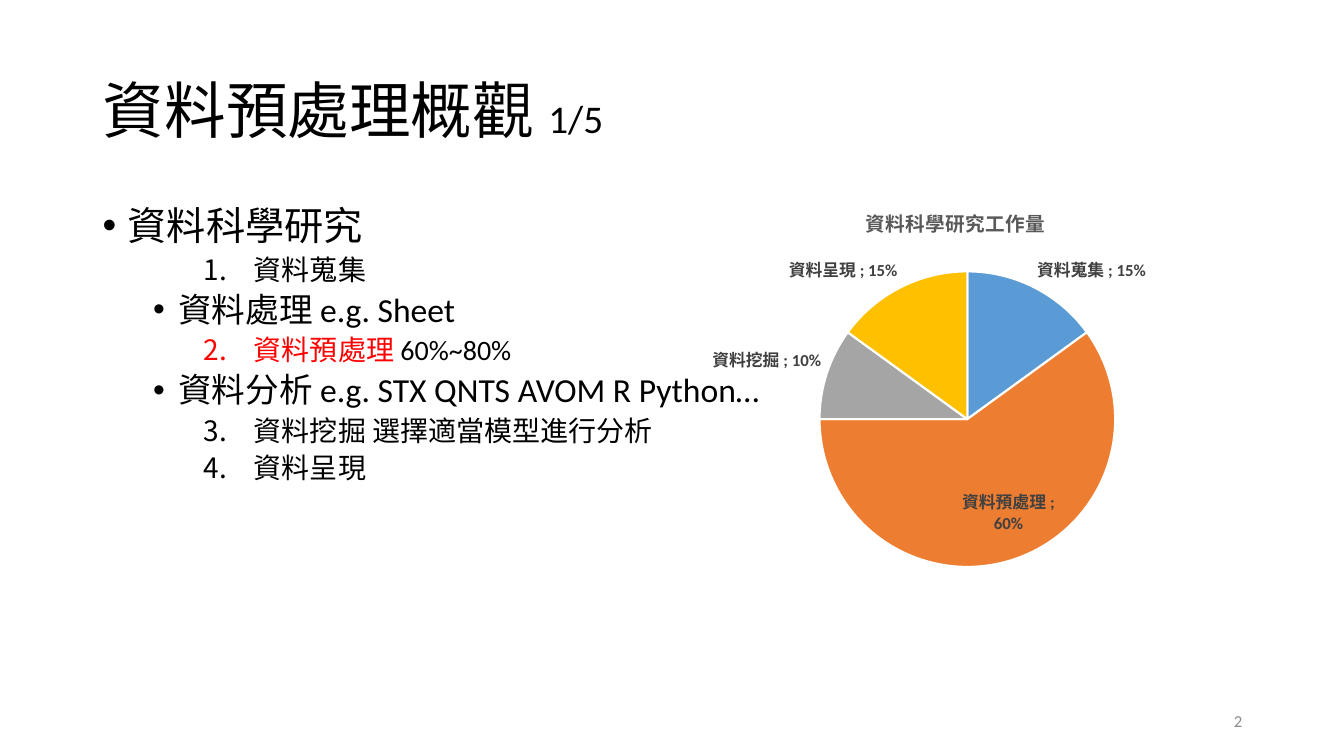
from lxml.etree import SubElement
from pptx import Presentation
from pptx.chart.data import CategoryChartData
from pptx.dml.color import RGBColor
from pptx.enum.chart import XL_CHART_TYPE, XL_LABEL_POSITION
from pptx.enum.text import MSO_ANCHOR, PP_ALIGN
from pptx.oxml import parse_xml
from pptx.oxml.ns import nsdecls, qn
from pptx.util import Inches, Pt

FONT = "Calibri"
BLACK = RGBColor(0x00, 0x00, 0x00)
WHITE = RGBColor(0xFF, 0xFF, 0xFF)
RED = RGBColor(0xFF, 0x00, 0x00)
PAGE_GRAY = RGBColor(0x8C, 0x8C, 0x8C)
TITLE_GRAY = RGBColor(0x59, 0x59, 0x59)
LABEL_GRAY = RGBColor(0x40, 0x40, 0x40)
BLUE = RGBColor(0x5B, 0x9B, 0xD5)
ORANGE = RGBColor(0xED, 0x7D, 0x31)
GRAY = RGBColor(0xA5, 0xA5, 0xA5)
GOLD = RGBColor(0xFF, 0xC0, 0x00)

MARGIN = Inches(0.92)
CONTENT_WIDTH = Inches(11.5)


def add_run(paragraph, text, size, color=BLACK, bold=False):
    run = paragraph.add_run()
    run.text = text
    run.font.name = FONT
    run.font.size = Pt(size)
    run.font.bold = bold
    run.font.color.rgb = color


def add_manual_layout(parent, position, **fractions):
    """Place a chart part by shares of the chart's size, before its overlay or series."""
    for old_layout in parent.findall(qn("c:layout")):
        parent.remove(old_layout)
    layout = parse_xml(f"<c:layout {nsdecls('c')}/>")
    manual = SubElement(layout, qn("c:manualLayout"))
    if "w" in fractions:
        SubElement(manual, qn("c:layoutTarget")).set("val", "inner")
    for mode in ("xMode", "yMode"):
        SubElement(manual, qn(f"c:{mode}")).set("val", "edge")
    for name, share in fractions.items():
        SubElement(manual, qn(f"c:{name}")).set("val", str(share))
    parent.insert(position, layout)


presentation = Presentation()
presentation.slide_width = Inches(13.33)
presentation.slide_height = Inches(7.5)
slide = presentation.slides.add_slide(presentation.slide_layouts[5])

# Title
title = slide.shapes.title
title.left, title.top = MARGIN, Inches(0.4)
title.width, title.height = CONTENT_WIDTH, Inches(1.45)
title.text_frame.vertical_anchor = MSO_ANCHOR.MIDDLE
paragraph = title.text_frame.paragraphs[0]
paragraph.alignment = PP_ALIGN.LEFT
paragraph.line_spacing = 0.9
add_run(paragraph, "資料預處理概觀 ", 44)
add_run(paragraph, "1/5", 28)

# Outline: level, number (None for a bullet), runs
outline = [
    (0, None, [("資料科學研究", BLACK)]),
    (2, 1, [("資料蒐集", BLACK)]),
    (1, None, [("資料處理 e.g. Sheet", BLACK)]),
    (2, 2, [("資料預處理 ", RED), ("60%~80%", BLACK)]),
    (1, None, [("資料分析 e.g. STX QNTS AVOM R Python…", BLACK)]),
    (2, 3, [("資料挖掘 選擇適當模型進行分析", BLACK)]),
    (2, 4, [("資料呈現", BLACK)]),
]
level_sizes = [28, 24, 20]
level_indents = [(0.25, 0.25), (0.75, 0.25), (1.5, 0.5)]

body = slide.shapes.add_textbox(MARGIN, Inches(2), CONTENT_WIDTH, Inches(4.76))
body.text_frame.word_wrap = True
for index, (level, number, runs) in enumerate(outline):
    paragraph = body.text_frame.add_paragraph() if index else body.text_frame.paragraphs[0]
    paragraph.level = level
    paragraph.line_spacing = 0.9
    paragraph.space_before = Pt(5 if index else 0)
    left, hanging = level_indents[level]
    properties = paragraph._p.get_or_add_pPr()
    properties.set("marL", str(Inches(left)))
    properties.set("indent", str(-Inches(hanging)))
    if number:
        numbering = SubElement(properties, qn("a:buAutoNum"))
        numbering.set("type", "arabicPeriod")
        numbering.set("startAt", str(number))
    else:
        SubElement(properties, qn("a:buFont")).set("typeface", "Arial")
        SubElement(properties, qn("a:buChar")).set("char", "•")
    for text, color in runs:
        add_run(paragraph, text, level_sizes[level], color)

# Page number
page_number = slide.shapes.add_textbox(Inches(9.42), Inches(6.95), Inches(3), Inches(0.4))
page_number.text_frame.word_wrap = True
page_number.text_frame.vertical_anchor = MSO_ANCHOR.MIDDLE
paragraph = page_number.text_frame.paragraphs[0]
paragraph.alignment = PP_ALIGN.RIGHT
add_run(paragraph, "2", 12, PAGE_GRAY)

# Workload pie chart
workload = CategoryChartData(number_format="0%")
workload.categories = ["資料蒐集", "資料預處理", "資料挖掘", "資料呈現"]
workload.add_series("Series 1", [0.15, 0.6, 0.1, 0.15])
chart = slide.shapes.add_chart(
    XL_CHART_TYPE.PIE, Inches(5.82), Inches(1.8), Inches(7.19), Inches(4.25), workload
).chart
chart.has_legend = False
chart.font.name = FONT
chart.font.size = Pt(10)
chart.font.color.rgb = BLACK

chart.has_title = True
add_run(chart.chart_title.text_frame.paragraphs[0], "資料科學研究工作量", 14, TITLE_GRAY, bold=True)
add_manual_layout(chart.chart_title._element, 1, x=0.38, y=0.05)
add_manual_layout(chart._chartSpace.chart.plotArea, 0, x=0.32, y=0.21, w=0.41, h=0.69)

plot = chart.plots[0]
plot.vary_by_categories = True
for index, color in enumerate([BLUE, ORANGE, GRAY, GOLD]):
    slice_format = plot.series[0].points[index].format
    slice_format.fill.solid()
    slice_format.fill.fore_color.rgb = color
    slice_format.line.color.rgb = WHITE
    slice_format.line.width = Pt(1.5)

labels = plot.series[0].data_labels
labels.show_value = True
labels.show_category_name = True
labels.show_percentage = False
labels.show_legend_key = False
labels.number_format = "0%"
labels.number_format_is_linked = False
labels.position = XL_LABEL_POSITION.BEST_FIT
labels.font.name = FONT
labels.font.size = Pt(12)
labels.font.bold = True
labels.font.color.rgb = LABEL_GRAY
separator = parse_xml(f"<c:separator {nsdecls('c')}> ; </c:separator>")
labels._element.find(qn("c:showBubbleSize")).addnext(separator)

presentation.save("out.pptx")
